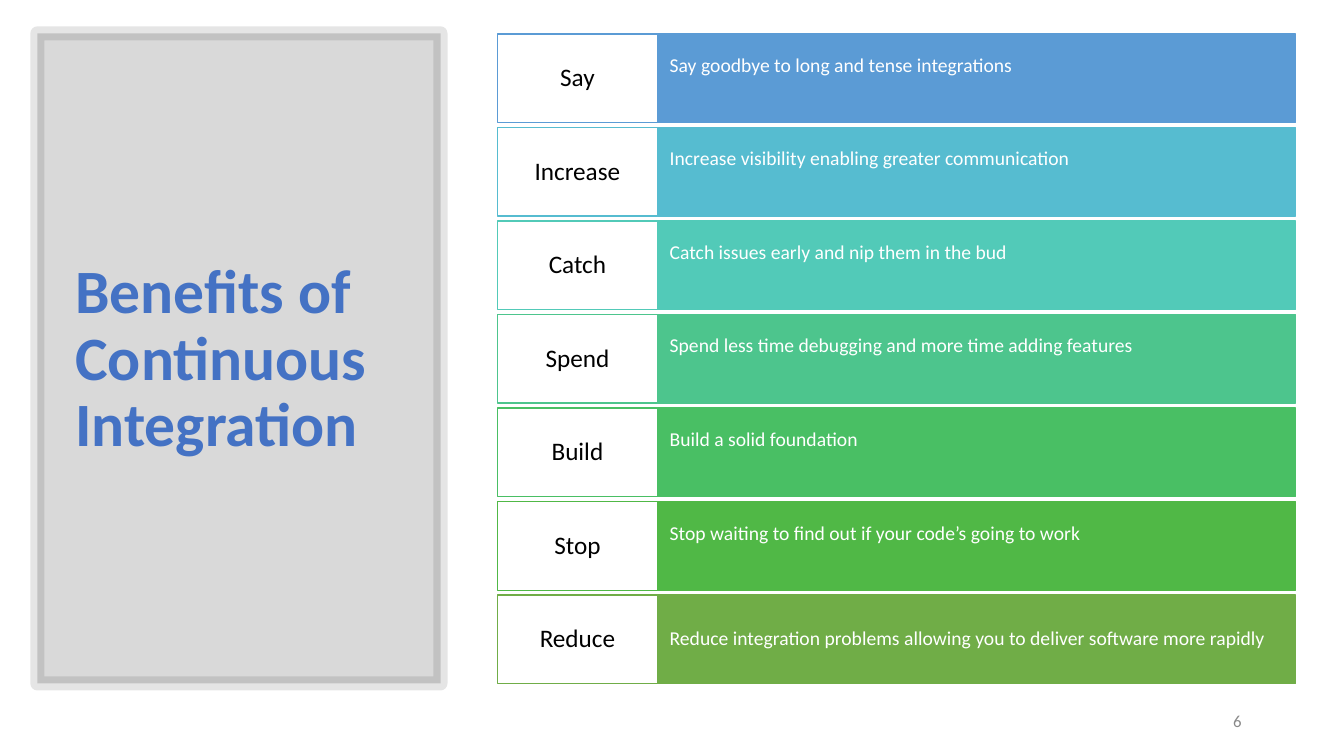
from dataclasses import dataclass

from pptx import Presentation
from pptx.dml.color import RGBColor
from pptx.enum.shapes import MSO_SHAPE
from pptx.enum.text import MSO_ANCHOR, PP_ALIGN
from pptx.oxml.ns import qn
from pptx.util import Pt
from lxml.etree import SubElement


@dataclass(frozen=True)
class Theme:
    font: str = "Calibri"
    title: str = "4472C4"
    page: str = "898989"
    black: str = "000000"
    white: str = "FFFFFF"
    title_size: int = 44
    label_size: int = 18
    detail_size: int = 14
    page_size: int = 12


class SlideBuilder:
    def __init__(self, slide, theme):
        self.slide = slide
        self.theme = theme

    def box(self, at, fill, line, line_width=1):
        """Add a filled, outlined rectangle without a shadow."""
        box = self.slide.shapes.add_shape(MSO_SHAPE.RECTANGLE, *map(Pt, at))
        box.shadow.inherit = False
        box.fill.solid()
        box.fill.fore_color.rgb = RGBColor.from_string(fill)
        box.line.color.rgb = RGBColor.from_string(line)
        box.line.width = Pt(line_width)
        return box

    def panel(self, at, fill_opacity, line_opacity, line_width):
        """Add a translucent black panel with a translucent border."""
        panel = self.box(at, self.theme.black, self.theme.black, line_width)
        colors = panel.element.spPr.iter(qn("a:srgbClr"))
        for color, opacity in zip(colors, (fill_opacity, line_opacity)):
            SubElement(color, qn("a:alpha"), val=str(opacity * 1000))

    def set_text(self, shape, text, size, color, align=PP_ALIGN.LEFT,
                 bold=False, spacing=0.9, insets=(7.2, 3.6, 7.2, 3.6)):
        """Set wrapped, vertically centred text in a shape."""
        frame = shape.text_frame
        frame.word_wrap = True
        frame.vertical_anchor = MSO_ANCHOR.MIDDLE
        (frame.margin_left, frame.margin_top,
         frame.margin_right, frame.margin_bottom) = map(Pt, insets)
        paragraph = frame.paragraphs[0]
        paragraph.text = text
        paragraph.alignment = align
        paragraph.line_spacing = spacing
        font = paragraph.font
        font.name = self.theme.font
        font.size = Pt(size)
        font.bold = bold
        font.color.rgb = RGBColor.from_string(color)

    def text(self, at, text, size, color, **style):
        """Add a free-standing text box."""
        self.set_text(self.slide.shapes.add_textbox(*map(Pt, at)), text, size, color, **style)

    def benefit(self, top, label, detail, color, lift):
        """Add one row: a coloured detail bar and its outlined label."""
        theme = self.theme
        bar = self.box((DETAIL_LEFT, top, DETAIL_WIDTH, ROW_HEIGHT), color, color)
        self.set_text(bar, detail, theme.detail_size, theme.white,
                      insets=(8.85, 0, 8.85, lift))
        tag = self.box((LABEL_LEFT, top, DETAIL_LEFT - LABEL_LEFT, ROW_HEIGHT),
                       theme.white, color)
        self.set_text(tag, label, theme.label_size, theme.black, align=PP_ALIGN.CENTER,
                      insets=(6, 6.3, 6, 6.3))


LABEL_LEFT, DETAIL_LEFT, DETAIL_WIDTH = 355.5, 469.5, 456
ROW_TOP, ROW_HEIGHT, ROW_PITCH = 24.3, 63.3, 66.8
RAISED, CENTRED = 17.5, 0  # bottom inset that lifts a detail line

BENEFITS = [
    ("Say", "Say goodbye to long and tense integrations", "5B9BD5", RAISED),
    ("Increase", "Increase visibility enabling greater communication", "56BCD0", RAISED),
    ("Catch", "Catch issues early and nip them in the bud", "52CAB8", RAISED),
    ("Spend", "Spend less time debugging and more time adding features", "4DC58D", RAISED),
    ("Build", "Build a solid foundation", "49BF64", RAISED),
    ("Stop", "Stop waiting to find out if your code’s going to work", "50B846", RAISED),
    ("Reduce", "Reduce integration problems allowing you to deliver software more rapidly",
     "70AD47", CENTRED),
]


def main():
    deck = Presentation()
    deck.slide_width, deck.slide_height = Pt(960), Pt(540)
    theme = Theme()
    builder = SlideBuilder(deck.slides.add_slide(deck.slide_layouts[6]), theme)

    # Title panel
    builder.panel((26.7, 23.8, 288, 464.4), fill_opacity=15, line_opacity=10, line_width=10)
    builder.text((46.8, 50.4, 249, 414), "Benefits of Continuous Integration",
                 theme.title_size, theme.title, bold=True)

    # Page number
    builder.text((678, 500.5, 216, 28.8), "6", theme.page_size, theme.page,
                 align=PP_ALIGN.RIGHT, spacing=1.0)

    # Benefit rows
    for row, benefit in enumerate(BENEFITS):
        builder.benefit(ROW_TOP + row * ROW_PITCH, *benefit)

    deck.save("out.pptx")


if __name__ == "__main__":
    main()
